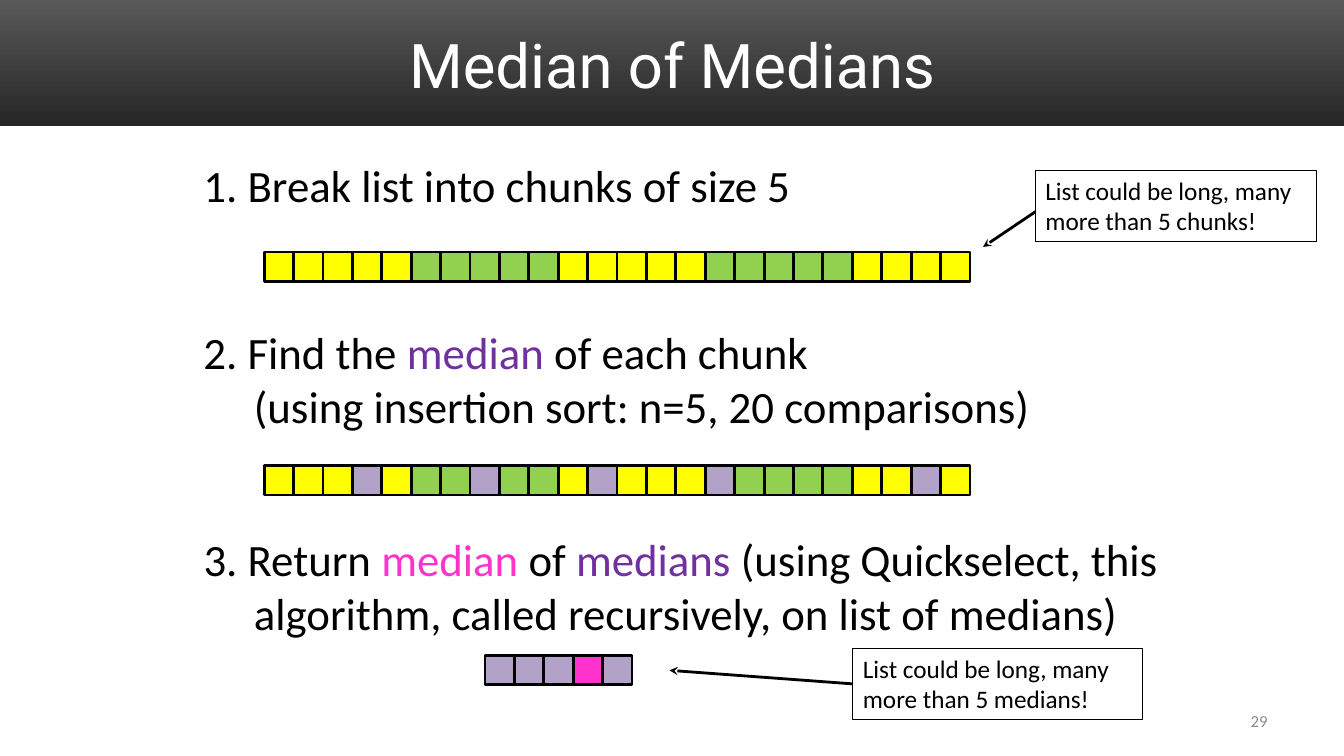
import pptx
import pptx.dml.color
import pptx.enum.shapes
import pptx.enum.text
import pptx.oxml
import pptx.oxml.ns
import pptx.util

Inches = pptx.util.Inches
RGBColor = pptx.dml.color.RGBColor
Align = pptx.enum.text.PP_ALIGN
Anchor = pptx.enum.text.MSO_ANCHOR
RECTANGLE = pptx.enum.shapes.MSO_SHAPE.RECTANGLE

BLACK = RGBColor(0x00, 0x00, 0x00)
WHITE = RGBColor(0xFF, 0xFF, 0xFF)
GREY = RGBColor(0x8C, 0x8C, 0x8C)
BAND_TOP = RGBColor(0x59, 0x59, 0x59)
BAND_BOTTOM = RGBColor(0x26, 0x26, 0x26)
PURPLE = RGBColor(0x70, 0x30, 0xA0)
PINK = RGBColor(0xFF, 0x33, 0xCC)
YELLOW = RGBColor(0xFF, 0xFF, 0x00)
GREEN = RGBColor(0x92, 0xD0, 0x50)
LILAC = RGBColor(0xB3, 0xA2, 0xC7)

LIST_LENGTH = 24
CHUNK_SIZE = 5
CELL = 7 / LIST_LENGTH
LIST_LEFT = 2.62
STEP_LEFT = 1.92
MEDIAN_POSITIONS = (3, 7, 11, 15, 22)
MEDIAN_OF_MEDIANS = 3


class SlideBuilder:
    def __init__(self, slide, font="Calibri", line_width=2):
        self.shapes = slide.shapes
        self.font = font
        self.line_width = line_width

    def add_runs(self, shape, runs, size, font=None, align=Align.LEFT, anchor=Anchor.TOP,
                 hanging=0):
        """Fill a shape with (text, colour) runs; a newline becomes a line break."""
        frame = shape.text_frame
        for name, value in {"word_wrap": True, "vertical_anchor": anchor}.items():
            setattr(frame, name, value)
        paragraph = frame.paragraphs[0]
        paragraph.alignment = align
        if hanging:
            properties = paragraph._p.get_or_add_pPr()
            properties.set("marL", str(Inches(hanging)))
            properties.set("indent", str(-Inches(hanging)))
        for text, colour in runs:
            for index, piece in enumerate(text.split("\n")):
                if index:
                    paragraph.add_line_break()
                run = paragraph.add_run()
                run.text = piece
                style = {"name": font or self.font, "size": pptx.util.Pt(size)}
                for name, value in style.items():
                    setattr(run.font, name, value)
                run.font.color.rgb = colour

    def text(self, box, runs, size, **style):
        shape = self.shapes.add_textbox(*map(Inches, box))
        self.add_runs(shape, runs, size, **style)

    def step(self, top, width, height, runs, **style):
        self.text((STEP_LEFT, top, width, height), runs, 32, hanging=0.5, **style)

    def band(self, box):
        shape = self.shapes.add_shape(RECTANGLE, *map(Inches, box))
        shape.shadow.inherit = False
        shape.line.fill.background()
        shape.fill.gradient()
        shape.fill.gradient_angle = 270
        for stop, colour in zip(shape.fill.gradient_stops, (BAND_TOP, BAND_BOTTOM)):
            stop.color.rgb = colour

    def outline(self, line, width):
        line.color.rgb = BLACK
        line.width = pptx.util.Pt(width)

    def cells(self, left, top, colours):
        group = self.shapes.add_group_shape()
        for index, colour in enumerate(colours):
            box = (left + index * CELL, top, CELL, CELL)
            cell = group.shapes.add_shape(RECTANGLE, *map(Inches, box))
            cell.shadow.inherit = False
            cell.fill.solid()
            cell.fill.fore_color.rgb = colour
            self.outline(cell.line, self.line_width)

    def callout(self, box, text):
        shape = self.shapes.add_shape(RECTANGLE, *map(Inches, box))
        shape.shadow.inherit = False
        shape.fill.background()
        self.outline(shape.line, 0.75)
        self.add_runs(shape, [(text, BLACK)], 18)
        shape.text_frame.auto_size = pptx.enum.text.MSO_AUTO_SIZE.SHAPE_TO_FIT_TEXT
        return shape

    def arrow(self, start, end, source=None):
        """Draw an arrow, joined to the left side of source when one is given."""
        connector = self.shapes.add_connector(
            pptx.enum.shapes.MSO_CONNECTOR.STRAIGHT, *map(Inches, start + end))
        if source is not None:
            connector.begin_connect(source, 1)
        self.outline(connector.line, self.line_width)
        tail = pptx.oxml.parse_xml(
            f'<a:tailEnd {pptx.oxml.ns.nsdecls("a")} type="stealth"/>')
        connector.line._get_or_add_ln().append(tail)
        effects = pptx.oxml.parse_xml(f'<a:effectLst {pptx.oxml.ns.nsdecls("a")}/>')
        connector._element.spPr.append(effects)


def main():
    presentation = pptx.Presentation()
    presentation.slide_width = Inches(13.33)
    presentation.slide_height = Inches(7.5)
    slide = presentation.slides.add_slide(presentation.slide_layouts[6])
    builder = SlideBuilder(slide)

    builder.band((0, 0, 13.33, 1.25))
    builder.text((0.67, 0.17, 12, 0.92), [("Median of Medians", WHITE)], 44,
                 font="Roboto", align=Align.CENTER, anchor=Anchor.MIDDLE)
    builder.text((9.56, 6.95, 3.11, 0.4), [("29", GREY)], 12,
                 align=Align.RIGHT, anchor=Anchor.MIDDLE)

    chunks = [(YELLOW, GREEN)[index // CHUNK_SIZE % 2] for index in range(LIST_LENGTH)]
    marked = [LILAC if index in MEDIAN_POSITIONS else colour
              for index, colour in enumerate(chunks)]
    medians = [PINK if index == MEDIAN_OF_MEDIANS else LILAC
               for index in range(len(MEDIAN_POSITIONS))]

    builder.cells(LIST_LEFT, 2.5, chunks)
    builder.step(1.42, 9, 0.83, [("1. Break list into chunks of size 5", BLACK)],
                 anchor=Anchor.MIDDLE)
    builder.step(3.17, 9, 1.17, [
        ("2. Find the ", BLACK), ("median", PURPLE),
        (" of each chunk\n(using insertion sort: n=5, 20 comparisons)", BLACK)])
    builder.cells(LIST_LEFT, 4.62, marked)
    builder.step(5.23, 9.75, 0.83, [
        ("3. Return ", BLACK), ("median", PINK), (" of ", BLACK), ("medians ", PURPLE),
        ("(using Quickselect, this\nalgorithm, called recursively, on list of medians)", BLACK)])
    builder.cells(4.81, 6.5, medians)

    medians_note = builder.callout((8.46, 6.43, 2.87, 0.71),
                                   "List could be long, many more than 5 medians!")
    builder.callout((10.27, 1.69, 2.79, 0.71),
                    "List could be long, many more than 5 chunks!")
    builder.arrow((8.46, 6.78), (6.64, 6.65), medians_note)
    builder.arrow((10.27, 2.1), (9.75, 2.45))

    presentation.save("out.pptx")


if __name__ == "__main__":
    main()
